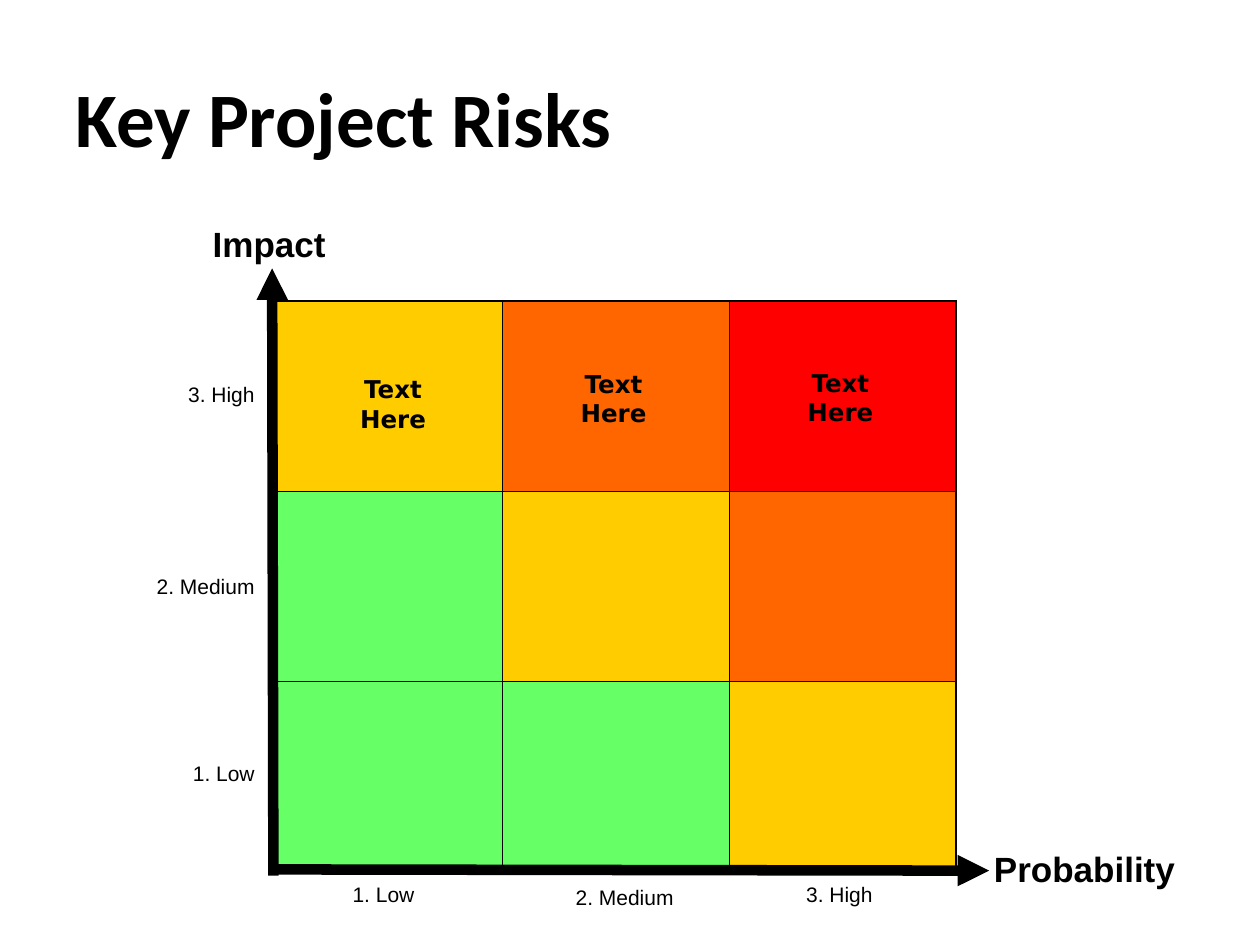
from lxml import etree
from pptx import Presentation
from pptx import util as u
from pptx.dml.color import RGBColor
from pptx.enum import shapes, text
from pptx.oxml.ns import qn

INK = {
    "black": "000000",
    "low": "66FF66",
    "mid": "FFCC00",
    "high": "FF6600",
    "top": "FF0000",
}
RISKS = [
    ["mid", "high", "top"],
    ["low", "mid", "high"],
    ["low", "low", "mid"],
]
LEFT, MID, RIGHT = text.PP_ALIGN.LEFT, text.PP_ALIGN.CENTER, text.PP_ALIGN.RIGHT


def rgb(name):
    return RGBColor.from_string(INK[name])


def label(slide, words, box, size, font="Arial", bold=False, align=LEFT, wrap=False):
    shape = slide.shapes.add_textbox(*map(u.Inches, box))
    frame = shape.text_frame
    frame.word_wrap = wrap
    para = frame.paragraphs[0]
    para.text = words
    para.alignment = align
    para.font.name = font
    para.font.size = u.Pt(size)
    para.font.bold = bold
    para.font.color.rgb = rgb("black")
    return frame


def edge(cell, side, width):
    """Draw one border of a cell; side is L, R, T or B."""
    line = etree.SubElement(cell._tc.get_or_add_tcPr(), qn(f"a:ln{side}"), w=str(u.Pt(width)))
    fill = etree.SubElement(line, qn("a:solidFill"))
    etree.SubElement(fill, qn("a:srgbClr"), val=INK["black"])


def arrow(slide, start, end):
    line = slide.shapes.add_connector(
        shapes.MSO_CONNECTOR.STRAIGHT, *map(u.Inches, start + end))
    line.line.color.rgb = rgb("black")
    line.line.width = u.Pt(6)
    etree.SubElement(line.line._get_or_add_ln(), qn("a:tailEnd"), type="triangle")
    etree.SubElement(line._element.spPr, qn("a:effectLst"))


def title(slide, box):
    frame = label(slide, "Key Project Risks", box, 44, "Calibri", True, wrap=True)
    frame.vertical_anchor = text.MSO_ANCHOR.MIDDLE


def matrix(slide, box):
    count = len(RISKS)
    table = slide.shapes.add_table(count, count, *map(u.Inches, box)).table
    for i in range(count):
        table.columns[i].width = u.Inches(box[2] / count)
        table.rows[i].height = u.Inches(box[3] / count)
    for r, row in enumerate(RISKS):
        for c, level in enumerate(row):
            cell = table.cell(r, c)
            # Outer borders are heavier than inner ones
            outer = {"L": c == 0, "R": c == count - 1, "T": r == 0, "B": r == count - 1}
            for side, heavy in outer.items():
                edge(cell, side, 1.08 if heavy else 0.45)
            cell.fill.solid()
            cell.fill.fore_color.rgb = rgb(level)
    # Notes in the top row
    for x, y in [(2.55, 2.92), (4.3, 2.88), (6.1, 2.87)]:
        label(slide, "Text Here", (x, y, 1.14, 0.34), 14, "DejaVu Sans", True, MID, True)


def axes(slide, box):
    left, top, width, height = box
    base = top + height
    # Probability runs across, impact runs up
    arrow(slide, (left - 0.05, base - 0.02), (left + width + 0.26, base - 0.01))
    arrow(slide, (left - 0.01, base + 0.03), (left - 0.02, top - 0.26))
    label(slide, "Probability", (7.79, 6.68, 1.7, 0.44), 20, bold=True)
    label(slide, "Impact", (1.59, 1.72, 1.2, 0.44), 20, bold=True)
    # Scale: name, width, place below the matrix, height beside it
    scale = [
        ("1. Low", 0.72, (2.7, 6.95), 5.99),
        ("2. Medium", 1.01, (4.47, 6.97), 4.5),
        ("3. High", 0.76, (6.3, 6.95), 2.98),
    ]
    for name, wide, below, y in scale:
        label(slide, name, below + (wide, 0.3), 12)
        label(slide, name, (left - 0.06 - wide, y, wide, 0.3), 12, align=RIGHT)


def main():
    deck = Presentation()
    deck.slide_width, deck.slide_height = u.Inches(10), u.Inches(7.5)
    slide = deck.slides.add_slide(deck.slide_layouts[6])
    grid = (2.18, 2.39, 5.41, 4.53)
    title(slide, (0.5, 0.3, 9, 1.25))
    matrix(slide, grid)
    axes(slide, grid)
    deck.save("out.pptx")


if __name__ == "__main__":
    main()
